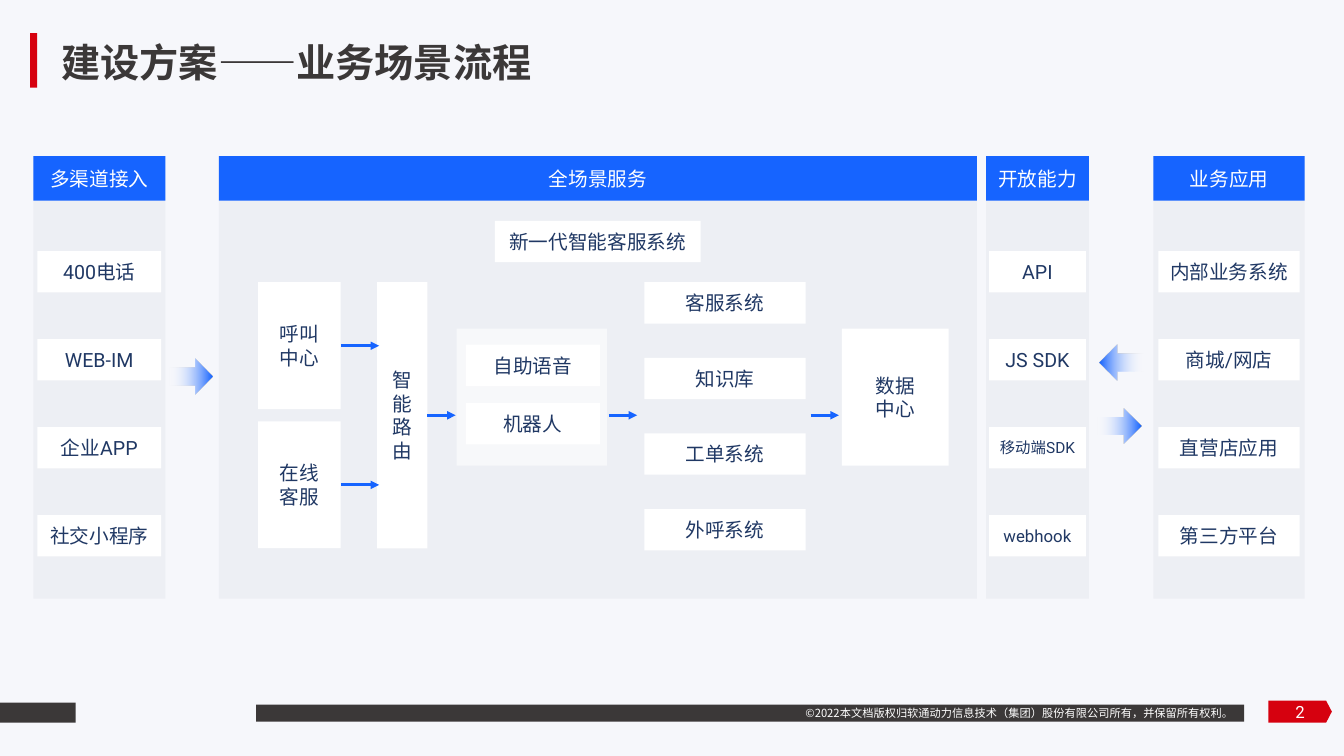
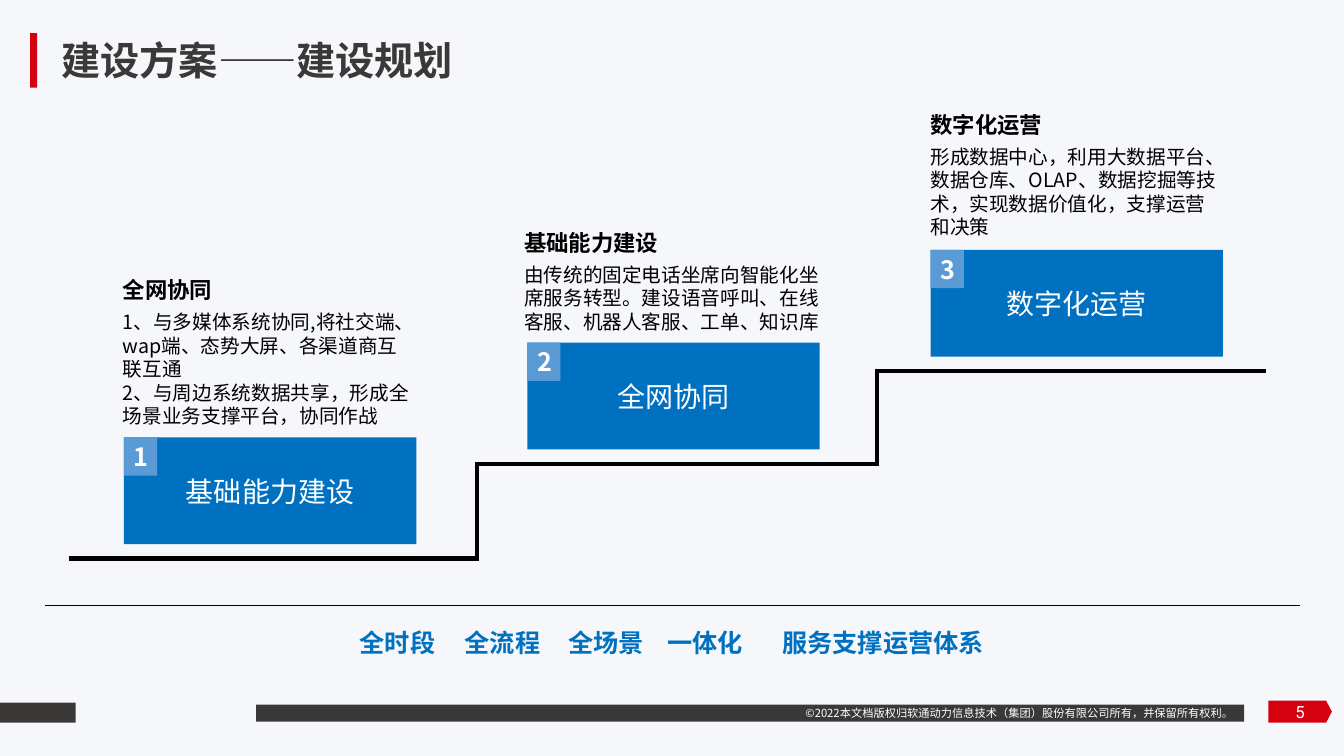
from lxml.etree import SubElement
from pptx import Presentation
from pptx.dml.color import RGBColor
from pptx.enum.shapes import MSO_CONNECTOR, MSO_SHAPE
from pptx.enum.text import MSO_ANCHOR, MSO_AUTO_SIZE, PP_ALIGN
from pptx.oxml.ns import qn
from pptx.util import Inches, Pt

WHITE = RGBColor(0xFF, 0xFF, 0xFF)
BLACK = RGBColor(0x00, 0x00, 0x00)
PAGE = RGBColor(0xF6, 0xF7, 0xFB)
DARK = RGBColor(0x3B, 0x38, 0x38)
RED = RGBColor(0xD6, 0x01, 0x0F)
PANEL = RGBColor(0xED, 0xEF, 0xF4)
LIGHT = RGBColor(0xF7, 0xF8, 0xFA)
BLUE = RGBColor(0x16, 0x64, 0xFF)
NAVY = RGBColor(0x20, 0x38, 0x64)
STEP = RGBColor(0x00, 0x70, 0xC0)
BADGE = RGBColor(0x5B, 0x9B, 0xD5)
CJK, LATIN = "Noto Sans CJK SC", "Roboto"


def write(p, text, font=CJK, **fmt):
    """Add one run to p; fmt holds size, bold and colour."""
    r = p.add_run()
    r.text = text
    r.font.name = font
    SubElement(r.font._element, qn("a:ea")).set("typeface", CJK)
    r.font.color.rgb = fmt.pop("color", BLACK)
    r.font.size = Pt(fmt.pop("size", 14))
    for name, value in fmt.items():
        setattr(r.font, name, value)


def box(s, at, fill, text="", kind=MSO_SHAPE.RECTANGLE, **fmt):
    """Add a borderless shape; each line of text is a centred paragraph."""
    sp = s.shapes.add_shape(kind, *map(Inches, at))
    sp.shadow.inherit = False
    sp.line.fill.background()
    sp.fill.solid()
    sp.fill.fore_color.rgb = fill
    tf = sp.text_frame
    tf.vertical_anchor = MSO_ANCHOR.MIDDLE
    for i, line in enumerate(text.split("\n") if text else []):
        p = tf.add_paragraph() if i else tf.paragraphs[0]
        p.alignment = PP_ALIGN.CENTER
        write(p, line, **fmt)
    return sp


prs = Presentation()
prs.slide_width, prs.slide_height = Inches(13.33), Inches(7.5)
layout = prs.slide_layouts[5]
bg = layout.background.fill
bg.solid()
bg.fore_color.rgb = PAGE

# Slides with title and page number
slides = []
for title, top, number in [("建设方案——业务场景流程", 0.31, "2"),
                           ("建设方案——建设规划", 0.29, "5")]:
    s = prs.slides.add_slide(layout)
    slides.append(s)
    ph = s.shapes.title
    ph.left, ph.top, ph.width, ph.height = map(Inches, (0.51, top, 8.17, 0.66))
    ph.text_frame.vertical_anchor = MSO_ANCHOR.MIDDLE
    p = ph.text_frame.paragraphs[0]
    p.alignment = PP_ALIGN.LEFT
    p.line_spacing = 0.9
    write(p, title, size=28, bold=True, color=DARK)

    tf = s.shapes.add_textbox(*map(Inches, (10.04, 6.86, 3, 0.4))).text_frame
    tf.word_wrap = True
    tf.vertical_anchor = MSO_ANCHOR.MIDDLE
    tf.paragraphs[0].alignment = PP_ALIGN.RIGHT
    write(tf.paragraphs[0], number, LATIN, size=12, color=WHITE)
flow, plan = slides

# Title bar and footer are drawn once, then moved to the layout
page_tag = box(flow, (12.58, 6.95, 0.63, 0.22), RED, kind=MSO_SHAPE.PENTAGON)
page_tag.adjustments[0] = 0.26
decor = [box(flow, (2.54, 6.99, 9.8, 0.17), DARK),
         page_tag,
         box(flow, (0, 6.97, 0.75, 0.2), DARK),
         box(flow, (0.3, 0.33, 0.07, 0.54), RED)]
notice = flow.shapes.add_textbox(*map(Inches, (7.89, 6.96, 4.62, 0.24)))
notice.text_frame.word_wrap = False
notice.text_frame.auto_size = MSO_AUTO_SIZE.SHAPE_TO_FIT_TEXT
write(notice.text_frame.paragraphs[0],
      "©2022本文档版权归软通动力信息技术（集团）股份有限公司所有，并保留所有权利。",
      size=8, color=WHITE)
for sp in decor + [notice]:
    layout.shapes._spTree.append(sp._element)

# Flow slide: columns with a header and evenly spaced items
label = {"font": LATIN, "color": NAVY}
columns = [
    (0.33, 1.31, "多渠道接入", 0.04, ["400电话", "WEB-IM", "企业APP", "社交小程序"]),
    (2.17, 7.52, "全场景服务", 0, []),
    (9.78, 1.02, "开放能力", 0.03, ["API", "JS SDK", "移动端SDK", "webhook"]),
    (11.44, 1.5, "业务应用", 0.05, ["内部业务系统", "商城/网店", "直营店应用", "第三方平台"]),
]
small = {"移动端SDK": 11, "webhook": 12}
for x, w, header, margin, items in columns:
    box(flow, (x, 1.55, w, 4.39), PANEL)
    box(flow, (x, 1.55, w, 0.44), BLUE, header, font=LATIN, color=WHITE)
    for i, item in enumerate(items):
        box(flow, (x + margin, 2.49 + i * 2.62 / 3, w - 2 * margin, 0.41),
            WHITE, item, size=small.get(item, 14), **label)

# Flow slide: service components
box(flow, (4.91, 2.19, 2.04, 0.41), WHITE, "新一代智能客服系统", **label)
calls = box(flow, (2.56, 2.8, 0.82, 1.26), WHITE, "呼叫\n中心", **label)
online = box(flow, (2.56, 4.18, 0.82, 1.26), WHITE, "在线\n客服", **label)
routing = box(flow, (3.74, 2.8, 0.5, 2.64), WHITE, "智能路由", **label)
box(flow, (4.53, 3.26, 1.49, 1.36), LIGHT)
for i, name in enumerate(["自助语音", "机器人"]):
    box(flow, (4.62, 3.42 + i * 0.58, 1.33, 0.41), WHITE, name, **label)
for i, name in enumerate(["客服系统", "知识库", "工单系统", "外呼系统"]):
    box(flow, (6.39, 2.8 + i * 0.75, 1.6, 0.41), WHITE, name, **label)
box(flow, (8.35, 3.26, 1.06, 1.36), WHITE, "数据\n中心", **label)

# Flow slide: gradient block arrows
for x, y, turn in [(1.68, 3.56, 0), (10.89, 4.05, 0), (10.91, 3.42, 180)]:
    sp = box(flow, (x, y, 0.43, 0.35), BLUE, kind=MSO_SHAPE.RIGHT_ARROW)
    sp.rotation = turn
    sp.fill.gradient()
    sp.fill.gradient_angle = 0
    for stop, color, position in zip(sp.fill.gradient_stops, (WHITE, BLUE), (0, 0.99)):
        stop.color.rgb = color
        stop.position = position
    start = sp._element.spPr.find(".//" + qn("a:srgbClr"))
    SubElement(start, qn("a:alpha")).set("val", "0")

# Connectors of both slides: slide, start, end, colour, width, source shape
lines = [
    (flow, (3.38, 3.43), (3.76, 3.43), BLUE, 0, calls),
    (flow, (3.38, 4.81), (3.76, 4.81), BLUE, 0, online),
    (flow, (4.24, 4.12), (4.52, 4.12), BLUE, 0, routing),
    (flow, (6.04, 4.12), (6.32, 4.12), BLUE, 0, None),
    (flow, (8.04, 4.12), (8.32, 4.12), BLUE, 0, None),
    (plan, (0.45, 6.01), (12.89, 6.01), BLACK, 1, None),
]
stair_x, stair_y, lap = [0.7, 4.73, 8.7, 12.54], [5.54, 4.6, 3.68], 0.02
for i, y in enumerate(stair_y):
    lines.append((plan, (stair_x[i] - lap, y), (stair_x[i + 1] + lap, y), BLACK, 3, None))
    if i:
        lines.append((plan, (stair_x[i], stair_y[i - 1]), (stair_x[i], y), BLACK, 3, None))
for s, start, end, color, width, source in lines:
    c = s.shapes.add_connector(MSO_CONNECTOR.STRAIGHT, *map(Inches, start + end))
    if source is not None:
        c.begin_connect(source, 3)
    c.line.color.rgb = color
    c.line.width = Pt(width)
    if s is flow:
        SubElement(c.line._get_or_add_ln(), qn("a:tailEnd")).set("type", "triangle")
    SubElement(c._element.spPr, qn("a:effectLst"))

# Plan slide: step cards with a numbered badge and a description
steps = [
    (1.23, 4.34, "基础能力建设", (1.12, 2.69, 3.1, 1.61), "全网协同",
     ["1、与多媒体系统协同,将社交端、wap端、态势大屏、各渠道商互联互通",
      "2、与周边系统数据共享，形成全场景业务支撑平台，协同作战"]),
    (5.23, 3.4, "全网协同", (5.1, 2.22, 3.19, 1.14), "基础能力建设",
     ["由传统的固定电话坐席向智能化坐席服务转型。建设语音呼叫、在线客服、机器人客服、工单、知识库"]),
    (9.23, 2.48, "数字化运营", (9.13, 1.05, 3.1, 1.38), "数字化运营",
     ["形成数据中心，利用大数据平台、数据仓库、OLAP、数据挖掘等技术，实现数据价值化，支撑运营和决策"]),
]
for n, (x, y, name, at, heading, details) in enumerate(steps, 1):
    box(plan, (x, y, 2.9, 1.06), STEP, name, size=20, color=WHITE)
    box(plan, (x, y, 0.33, 0.38), BADGE, str(n), size=18, bold=True, color=WHITE)
    tf = plan.shapes.add_textbox(*map(Inches, at)).text_frame
    tf.word_wrap = True
    write(tf.paragraphs[0], heading, size=16, bold=True)
    for i, detail in enumerate(details):
        p = tf.add_paragraph()
        p.space_before = Pt(0 if i else 5)
        write(p, detail)

# Plan slide: slogan set on tab stops
tf = plan.shapes.add_textbox(*map(Inches, (3.47, 6.17, 6.96, 0.4))).text_frame
tf.word_wrap = True
p = tf.paragraphs[0]
tabs = SubElement(p._p.get_or_add_pPr(), qn("a:tabLst"))
for stop in (1.04, 2.07, 3.05, 4.19):
    tab = SubElement(tabs, qn("a:tab"))
    tab.set("pos", str(Inches(stop)))
    tab.set("algn", "l")
write(p, "全时段\t全流程\t全场景\t一体化\t服务支撑运营体系", size=18, bold=True, color=STEP)

prs.save("out.pptx")
